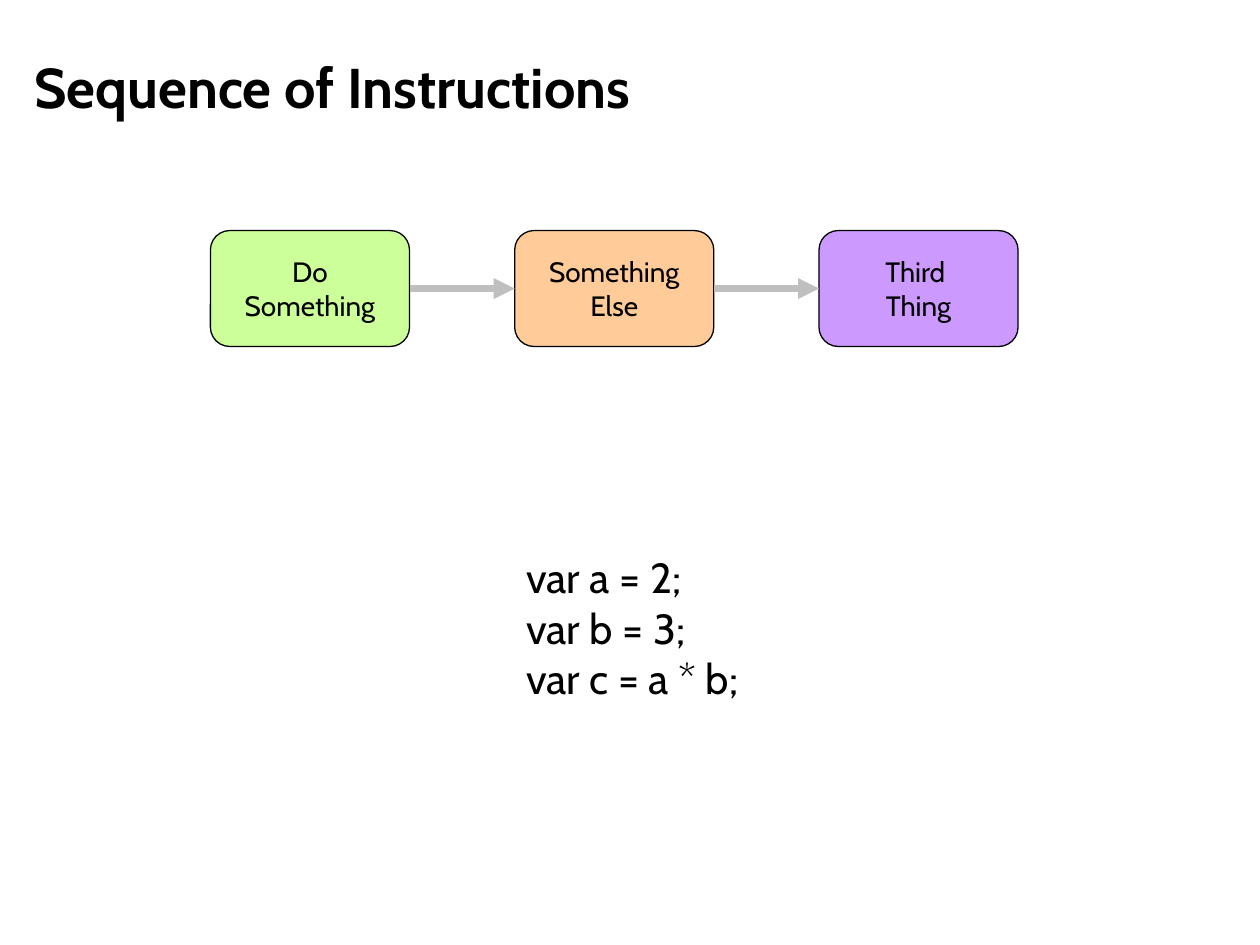
from itertools import pairwise

from pptx import Presentation
from pptx.dml.color import RGBColor
from pptx.enum.shapes import MSO_CONNECTOR as Connector, MSO_SHAPE as Shape
from pptx.enum.text import MSO_ANCHOR as Anchor, MSO_AUTO_SIZE as AutoSize, PP_ALIGN as Align
from pptx.oxml.ns import qn
from pptx.util import Inches, Pt

TITLE = "Sequence of Instructions"
STEPS = [  # paragraphs, fill; "\v" is a line break
    (["Do", "Something"], "CCFF99"),
    (["Something Else"], "FFCC99"),
    (["Third \vThing"], "CC99FF"),
]
CODE = ["var a = 2;", "var b = 3;", "var c = a * b;"]

FONT, BLACK, GREY = "Cabin", "000000", "BFBFBF"
STEP_LEFT, STEP_TOP, STEP_PITCH = 1.67, 1.83, 2.415
STEP_WIDTH, STEP_HEIGHT = 1.58, 0.92
LEFT_SITE, RIGHT_SITE = 1, 3


def color(value):
    return RGBColor.from_string(value)


def write(frame, lines, size, bold=False, align=Align.LEFT, anchor=Anchor.TOP, wrap=True):
    frame.word_wrap = wrap
    frame.vertical_anchor = anchor
    for number, line in enumerate(lines):
        para = frame.add_paragraph() if number else frame.paragraphs[0]
        para.text = line
        para.alignment = align
        for span in para.runs:
            span.font.name = FONT
            span.font.size = Pt(size)
            span.font.bold = bold
            span.font.color.rgb = color(BLACK)


def add_step(page, column, lines, fill):
    box = page.shapes.add_shape(
        Shape.ROUNDED_RECTANGLE,
        Inches(STEP_LEFT + column * STEP_PITCH), Inches(STEP_TOP),
        Inches(STEP_WIDTH), Inches(STEP_HEIGHT),
    )
    box.shadow.inherit = False
    box.fill.solid()
    box.fill.fore_color.rgb = color(fill)
    box.line.color.rgb = color(BLACK)
    box.line.width = Pt(0.75)
    write(box.text_frame, lines, 16, align=Align.CENTER, anchor=Anchor.MIDDLE)
    return box


def add_arrow(page, start, end):
    arrow = page.shapes.add_connector(Connector.ELBOW, 0, 0, 0, 0)
    arrow.begin_connect(start, RIGHT_SITE)
    arrow.end_connect(end, LEFT_SITE)
    arrow.line.color.rgb = color(GREY)
    arrow.line.width = Pt(4)
    line = arrow.line._get_or_add_ln()
    line.append(line.makeelement(qn("a:tailEnd"), {"type": "triangle"}))
    properties = line.getparent()
    properties.append(properties.makeelement(qn("a:effectLst"), {}))


def main():
    deck = Presentation()
    deck.slide_width, deck.slide_height = Inches(10), Inches(7.5)
    page = deck.slides.add_slide(deck.slide_layouts[5])

    title = page.shapes.title
    title.left, title.top = Inches(0.17), Inches(0.12)
    title.width, title.height = Inches(9.5), Inches(1.12)
    write(title.text_frame, [TITLE], 32, bold=True, anchor=Anchor.MIDDLE)

    code = page.shapes.add_textbox(Inches(4.08), Inches(4.33), Inches(1.97), Inches(1.31))
    write(code.text_frame, CODE, 24, wrap=False)
    code.text_frame.auto_size = AutoSize.SHAPE_TO_FIT_TEXT

    boxes = [add_step(page, column, *step) for column, step in enumerate(STEPS)]
    for start, end in pairwise(boxes):
        add_arrow(page, start, end)

    deck.save("out.pptx")


if __name__ == "__main__":
    main()
